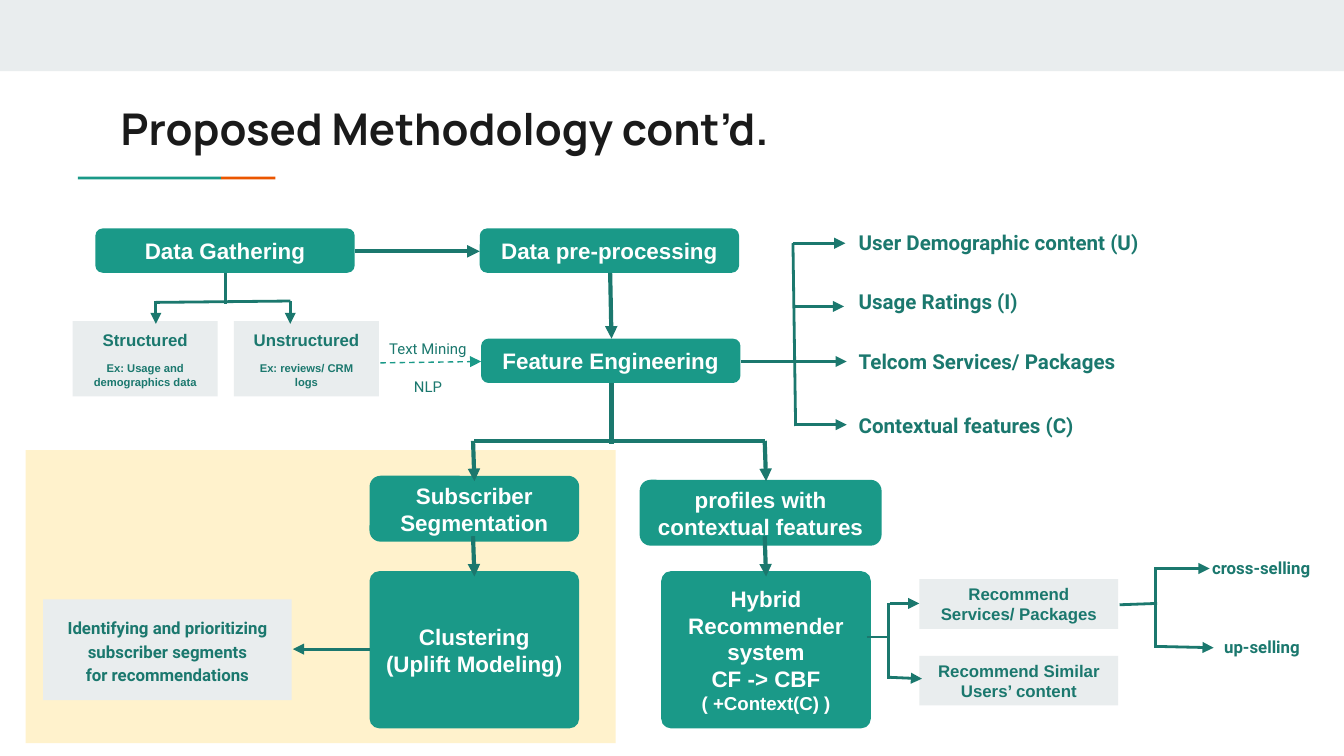
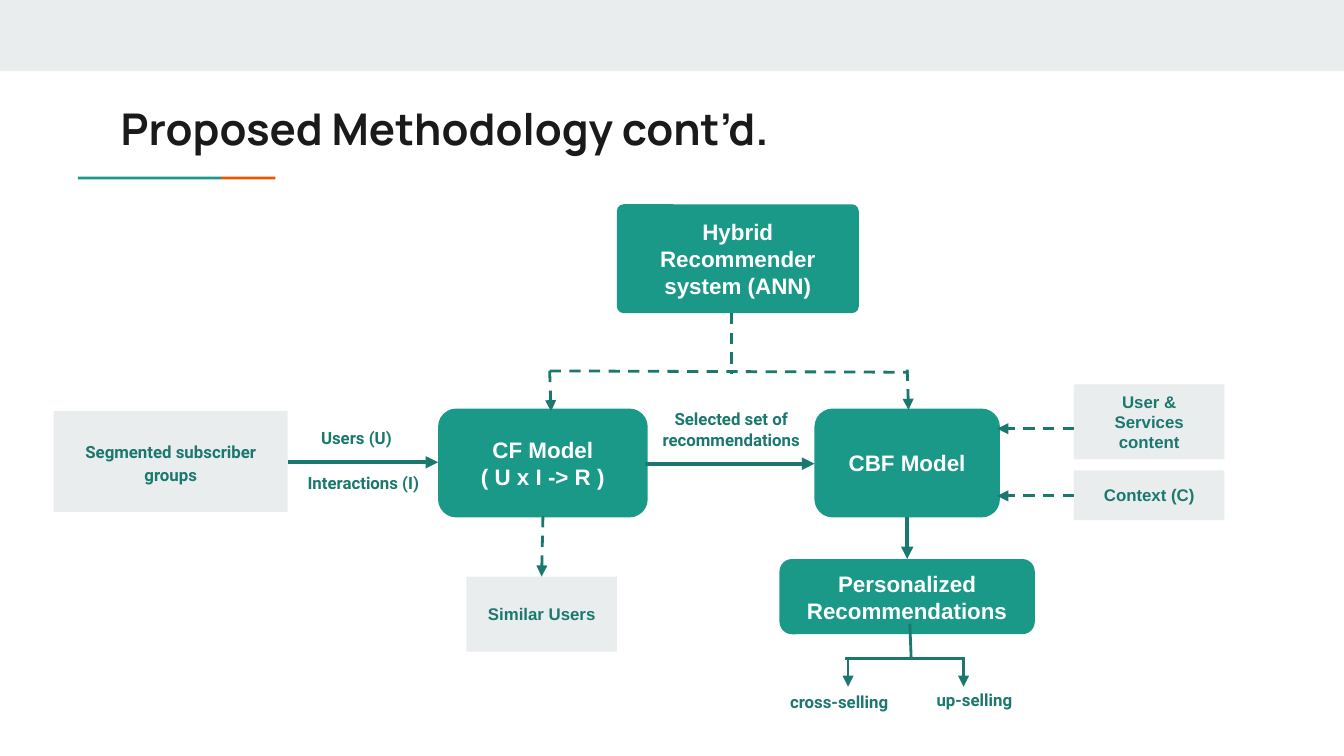
from lxml import etree
from pptx import Presentation
from pptx import util as u
from pptx.dml.color import RGBColor
from pptx.enum import dml, shapes, text
from pptx.oxml.ns import qn

# Grid: 100 columns by 56.25 rows of square cells
COLUMNS, ROWS = 100, 56.25
CELL = u.Inches(0.1)

COLORS = {
    "band": "E9EDEE", "teal": "1A9988", "deep": "1B786E", "orange": "EB5600",
    "cream": "FFF2CC", "white": "FFFFFF", "ink": "1A1A1A",
}
RECT, ROUND = shapes.MSO_SHAPE.RECTANGLE, shapes.MSO_SHAPE.ROUNDED_RECTANGLE
LEFT, CENTER = text.PP_ALIGN.LEFT, text.PP_ALIGN.CENTER

# Box styles; "note" is the size and space before of the last paragraph
STEP = dict(kind=ROUND, corner=0.167, fill="teal", font="Arial", size=12,
            color="white", bold=True, align=CENTER)
CARD = dict(kind=RECT, fill="band", font="Arial", size=9, color="deep",
            bold=True, align=CENTER)
LABEL = dict(font="Roboto", size=9, color="deep", bold=True, align=LEFT)
STYLES = {
    "title": dict(font="Manrope", size=23.4, color="ink", bold=True, align=LEFT,
                  anchor=text.MSO_ANCHOR.TOP),
    "step": STEP,
    "panel": {**STEP, "corner": 0.062},
    "panel with note": {**STEP, "corner": 0.062, "note": (10, 0)},
    "card": CARD,
    "card with note": {**CARD, "note": (6, 6.5)},
    "group card": {**CARD, "font": "Roboto", "spacing": 1.15},
    "label": LABEL,
    "centered label": {**LABEL, "align": CENTER},
    "feature": {**LABEL, "size": 11},
    "technique": {**LABEL, "size": 8, "bold": False, "align": CENTER, "note": (8, 11)},
    **{name: dict(kind=RECT, fill=name) for name in ("band", "teal", "orange", "cream")},
}

# Line styles: colour, width, dashed, arrow
LINES = {
    "thin": ("deep", 1.5, False, False),
    "thin arrow": ("deep", 1.5, False, True),
    "thick": ("deep", 2.25, False, False),
    "thick arrow": ("deep", 2.25, False, True),
    "dashed": ("deep", 1.5, True, False),
    "dashed arrow": ("deep", 1.5, True, True),
    "mining arrow": ("teal", 0.75, True, True),
}


def add_box(slide, style_name, column, row, columns, rows, words=""):
    style = STYLES[style_name]
    place = [u.Emu(round(value * CELL)) for value in (column, row, columns, rows)]
    if "kind" in style:
        shape = slide.shapes.add_shape(style["kind"], *place)
        shape.shadow.inherit = False
        shape.fill.solid()
        shape.fill.fore_color.rgb = RGBColor.from_string(COLORS[style["fill"]])
        shape.line.fill.background()
        if "corner" in style:
            shape.adjustments[0] = style["corner"]
    else:
        shape = slide.shapes.add_textbox(*place)
    if not words:
        return
    frame = shape.text_frame
    frame.word_wrap = True
    frame.vertical_anchor = style.get("anchor", text.MSO_ANCHOR.MIDDLE)
    frame.margin_left = frame.margin_right = frame.margin_top = frame.margin_bottom = CELL
    frame.text = words
    for paragraph in frame.paragraphs:
        paragraph.alignment = style["align"]
        paragraph.line_spacing = style.get("spacing")
        paragraph.font.name = style["font"]
        paragraph.font.size = u.Pt(style["size"])
        paragraph.font.bold = style["bold"]
        paragraph.font.color.rgb = RGBColor.from_string(COLORS[style["color"]])
    if "note" in style:
        size, gap = style["note"]
        paragraph.font.size = u.Pt(size)
        paragraph.space_before = u.Pt(gap)


def add_line(slide, style_name, *ends):
    color, width, dashed, arrow = LINES[style_name]
    connector = slide.shapes.add_connector(
        shapes.MSO_CONNECTOR.STRAIGHT, *[u.Emu(round(value * CELL)) for value in ends])
    connector.line.color.rgb = RGBColor.from_string(COLORS[color])
    connector.line.width = u.Pt(width)
    if dashed:
        connector.line.dash_style = dml.MSO_LINE.DASH
    if arrow:
        etree.SubElement(connector.line._get_or_add_ln(), qn("a:tailEnd"), type="triangle")
    etree.SubElement(connector._element.spPr, qn("a:effectLst"))


# Shared by both slides: band, two-colour rule, title
FRAME = [
    ("band", 0, 0, COLUMNS, 5.3),
    ("teal", 5.8, 13.15, 10.65, 0.2),
    ("orange", 16.45, 13.15, 4.05, 0.2),
    ("title", 8, 6.6, 84.1, 5.9, "Proposed Methodology cont’d."),
]

# Slide 1: the whole pipeline
pipeline_boxes = [
    ("cream", 1.9, 33.5, 43.9, 21.8),
    ("step", 7.1, 17, 19.3, 3.3, "Data Gathering"),
    ("step", 35.7, 17, 19.3, 3.3, "Data pre-processing"),
    ("step", 35.8, 25.2, 19.3, 3.3, "Feature Engineering"),
    ("card with note", 5.4, 23.9, 10.8, 5.6, "Structured\nEx: Usage and demographics data"),
    ("card with note", 17.4, 23.9, 10.8, 5.6, "Unstructured\nEx: reviews/ CRM logs"),
    ("technique", 26.2, 24.4, 11.3, 5.9, "Text Mining\nNLP"),
    ("feature", 62.9, 16.7, 23.7, 2.7, "User Demographic content (U)"),
    ("feature", 62.9, 20.6, 23.7, 3.7, "Usage Ratings (I)"),
    ("feature", 62.9, 25.2, 23.7, 3.3, "Telcom Services/ Packages"),
    ("feature", 62.9, 30, 23.7, 3.3, "Contextual features (C)"),
    ("step", 27.5, 35.4, 15.6, 4.9, "Subscriber Segmentation"),
    ("step", 47.6, 35.7, 18, 4.9, "profiles with contextual features"),
    ("panel", 27.5, 42.5, 15.6, 11.7, "Clustering\n(Uplift Modeling)"),
    ("panel with note", 49.2, 42.5, 15.6, 11.7,
     "Hybrid Recommender system\nCF -> CBF\n( +Context(C) )"),
    ("group card", 3.2, 44.6, 18.5, 7.5,
     "Identifying and prioritizing subscriber segments\nfor recommendations"),
    ("card", 68.4, 43.1, 14.8, 3.7, "Recommend Services/ Packages"),
    ("card", 68.4, 48.8, 14.8, 3.7, "Recommend Similar Users’ content"),
    ("label", 89.2, 40.9, 10.5, 2.7, "cross-selling"),
    ("label", 90.1, 46.8, 9.5, 2.7, "up-selling"),
]
pipeline_lines = [
    # Gathering to its two sources
    ("thin", 16.8, 20.3, 16.8, 22.6),
    ("thin", 11.6, 22.5, 21.6, 22.4),
    ("thin arrow", 11.6, 22.4, 11.6, 24.1),
    ("thin arrow", 21.6, 22.4, 21.6, 24.1),
    # Main flow
    ("thick arrow", 26.4, 18.7, 35.7, 18.7),
    ("thick arrow", 45.4, 20.3, 45.5, 25.2),
    ("mining arrow", 28.3, 27, 35.8, 26.9),
    # Feature groups
    ("thin", 55.1, 26.9, 59.5, 26.9),
    ("thin", 59, 18.1, 59.2, 31.7),
    ("thin arrow", 59, 18.1, 62.9, 18.1),
    ("thin arrow", 59, 22.8, 62.8, 22.8),
    ("thin arrow", 58.8, 26.9, 63, 26.9),
    ("thin arrow", 59.3, 31.6, 63, 31.6),
    # Split into segmentation and profiles
    ("thick", 45.5, 28.5, 45.5, 33),
    ("thick", 35.3, 32.8, 56.9, 32.8),
    *[("thick arrow", column, row, column + 0.1, row + 3)
      for column in (35.2, 56.9) for row in (32.8, 39.9)],
    ("thin arrow", 27.5, 48.3, 21.8, 48.3),
    # Recommender outputs
    ("thin", 64.5, 47.4, 66.2, 47.4),
    ("thin", 66.1, 44.9, 66.1, 50.5),
    ("thin arrow", 66.2, 44.9, 68.4, 44.9),
    ("thin arrow", 66.2, 50.4, 68.6, 50.5),
    # Selling
    ("thin", 83.3, 45, 86.1, 44.9),
    ("thin", 86, 42.2, 86, 48.2),
    ("thin arrow", 86.1, 42.3, 90, 42.3),
    ("thin arrow", 86.1, 48.1, 90.3, 48.2),
]

# Slide 2: inside the hybrid recommender
hybrid_boxes = [
    ("panel", 45.9, 15.2, 18, 8.1, "Hybrid Recommender system (ANN)"),
    ("step", 32.6, 30.4, 15.6, 8.1, "CF Model\n( U x I -> R )"),
    ("step", 60.6, 30.4, 13.8, 8.1, "CBF Model"),
    ("step", 58, 41.6, 19, 5.6, "Personalized\nRecommendations"),
    ("group card", 4, 30.6, 17.4, 7.5, "Segmented subscriber groups"),
    ("card", 79.9, 28.6, 11.2, 5.6, "User & Services content"),
    ("card", 79.9, 35, 11.2, 3.7, "Context (C)"),
    ("card", 34.7, 42.9, 11.2, 5.6, "Similar Users"),
    ("label", 22.9, 31.2, 10.5, 2.7, "Users (U)"),
    ("label", 21.9, 34.6, 10.5, 2.7, "Interactions (I)"),
    ("centered label", 47.5, 30.6, 13.8, 2.7, "Selected set of recommendations"),
    ("label", 57.8, 50.4, 10.5, 3.7, "cross-selling"),
    ("label", 68.7, 50.2, 10.5, 3.7, "up-selling"),
]
hybrid_lines = [
    # Hybrid system to its two models
    ("dashed", 54.4, 23.3, 54.4, 27.8),
    ("dashed", 40.9, 27.6, 67.6, 27.7),
    ("dashed arrow", 40.9, 27.6, 41, 30.6),
    ("dashed arrow", 67.5, 27.5, 67.6, 30.5),
    # Main flow
    ("thick arrow", 21.4, 34.4, 32.6, 34.4),
    ("thick arrow", 48, 34.5, 60.6, 34.5),
    ("thick arrow", 67.5, 38.5, 67.5, 41.6),
    # Side inputs and output
    ("dashed arrow", 79.9, 31.9, 74.2, 31.9),
    ("dashed arrow", 79.9, 36.9, 74.2, 36.9),
    ("dashed arrow", 40.4, 38.4, 40.3, 42.9),
    # Selling
    ("thin", 67.7, 46.4, 67.8, 49.1),
    ("thin", 62.9, 49, 71.8, 49),
    ("thin arrow", 63.1, 49.1, 63.1, 51.1),
    ("thin arrow", 71.7, 49.1, 71.7, 51.1),
]

# Build the slides
presentation = Presentation()
presentation.slide_width = u.Emu(COLUMNS * CELL)
presentation.slide_height = u.Emu(round(ROWS * CELL))
for boxes, lines in ((pipeline_boxes, pipeline_lines), (hybrid_boxes, hybrid_lines)):
    slide = presentation.slides.add_slide(presentation.slide_layouts[6])
    for box in FRAME + boxes:
        add_box(slide, *box)
    for line in lines:
        add_line(slide, *line)
presentation.save("out.pptx")
